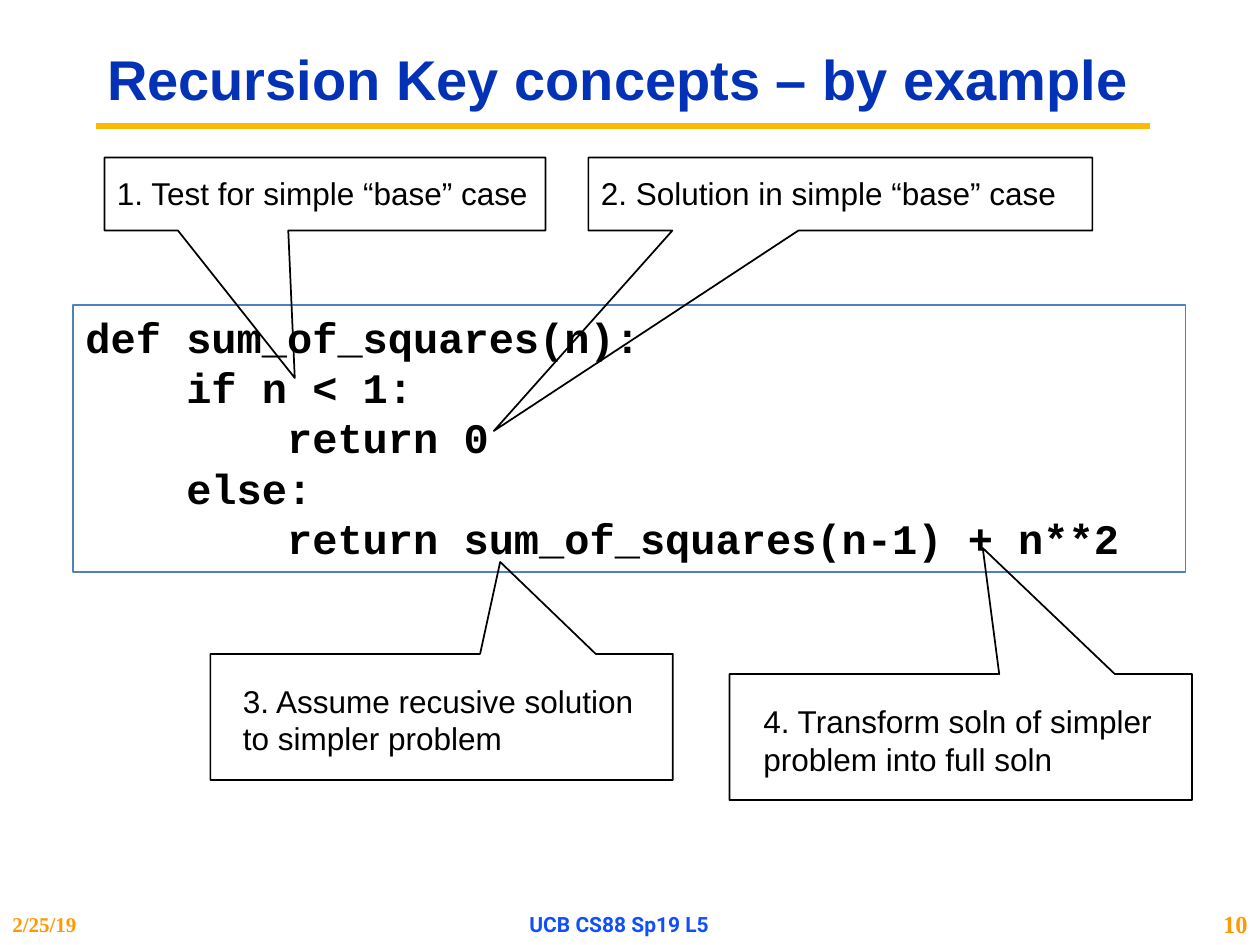
import pptx
import pptx.util
from pptx.dml.color import RGBColor
from pptx.enum.shapes import MSO_CONNECTOR, MSO_SHAPE
from pptx.enum.text import MSO_ANCHOR, MSO_AUTO_SIZE, PP_ALIGN
from pptx.oxml import parse_xml
from pptx.util import Inches, Pt

TITLE = "Recursion Key concepts – by example"
CODE = [
    "def sum_of_squares(n):",
    "    if n < 1:",
    "        return 0",
    "    else:",
    "        return sum_of_squares(n-1) + n**2",
]
# label, callout box, label box, point of the callout
CALLOUTS = [
    ("1. Test for simple “base” case",
     (0.83, 1.25, 3.5, 0.58), (0.83, 1.33, 3.49, 0.4), (2.34, 3.0)),
    ("2. Solution in simple “base” case",
     (4.67, 1.25, 4, 0.58), (4.67, 1.33, 3.85, 0.4), (3.92, 3.42)),
    ("3. Assume recusive solution to simpler problem",
     (1.67, 5.19, 3.67, 1), (1.83, 5.36, 3.33, 0.71), (3.97, 4.46)),
    ("4. Transform soln of simpler problem into full soln",
     (5.79, 5.35, 3.67, 1), (5.96, 5.52, 3.33, 0.71), (7.8, 4.35)),
]
# text, box, size, font, colour, alignment
FOOTERS = [
    ("2/25/19", (0, 7.17, 1.67, 0.33), 12, "Times New Roman", "FF9900", PP_ALIGN.LEFT),
    ("UCB CS88 Sp19 L5", (3.33, 7.17, 3.17, 0.33), 12, "Roboto", "114FFB", PP_ALIGN.CENTER),
    ("10", (9.42, 7.17, 0.58, 0.33), 14, "Times New Roman", "FF9900", PP_ALIGN.RIGHT),
]


def colour(value):
    return RGBColor.from_string(value)


def lengths(box):
    return [Inches(value) for value in box]


def write(shape, lines, size, font, ink="000000", bold=False,
          align=PP_ALIGN.LEFT, anchor=MSO_ANCHOR.TOP):
    frame = shape.text_frame
    frame.word_wrap = True
    frame.auto_size = MSO_AUTO_SIZE.NONE
    frame.vertical_anchor = anchor
    frame.text = "\n".join(lines)
    for para in frame.paragraphs:
        para.alignment = align
        para.font.size = Pt(size)
        para.font.name = font
        para.font.bold = bold
        para.font.color.rgb = colour(ink)


def add_outline(shapes, kind, box, line, width):
    """Add an unfilled shape with a plain outline."""
    shape = shapes.add_shape(kind, *lengths(box))
    shape.shadow.inherit = False
    shape.fill.background()
    shape.line.color.rgb = colour(line)
    shape.line.width = Pt(width)
    return shape


def add_callout(slide, label, box, label_box, point):
    group = slide.shapes.add_group_shape()
    callout = add_outline(group.shapes, MSO_SHAPE.RECTANGULAR_CALLOUT, box, "000000", 1)
    left, top, width, height = box
    callout.adjustments[0] = (point[0] - left) / width - 0.5
    callout.adjustments[1] = (point[1] - top) / height - 0.5
    write(group.shapes.add_textbox(*lengths(label_box)), [label], 18, "Arial")


def add_rule(slide):
    rule = slide.shapes.add_connector(MSO_CONNECTOR.STRAIGHT, *lengths((0.76, 1, 9.13, 1)))
    rule.line.color.rgb = colour("FBBA03")
    rule.line.width = Pt(3.75)
    rule._element.spPr.append(parse_xml(
        '<a:effectLst xmlns:a="http://schemas.openxmlformats.org/drawingml/2006/main"/>'))


def main():
    deck = pptx.Presentation()
    deck.slide_width, deck.slide_height = Inches(10), Inches(7.5)
    slide = deck.slides.add_slide(deck.slide_layouts[5])

    add_rule(slide)
    title = slide.shapes.title
    title.left, title.top, title.width, title.height = lengths((0.75, 0.25, 8.42, 0.81))
    write(title, [TITLE], 32, "Arial", "0332B7", True, anchor=MSO_ANCHOR.MIDDLE)
    title.text_frame.paragraphs[0].line_spacing = 0.9

    code = add_outline(slide.shapes, MSO_SHAPE.RECTANGLE, (0.58, 2.42, 8.83, 2.12), "4F81BD", 0.75)
    write(code, CODE, 24, "Courier New", bold=True)

    for callout in CALLOUTS:
        add_callout(slide, *callout)
    for text, box, size, font, ink, align in FOOTERS:
        write(slide.shapes.add_textbox(*lengths(box)), [text], size, font, ink, True,
              align, MSO_ANCHOR.MIDDLE)

    deck.save("out.pptx")


if __name__ == "__main__":
    main()
